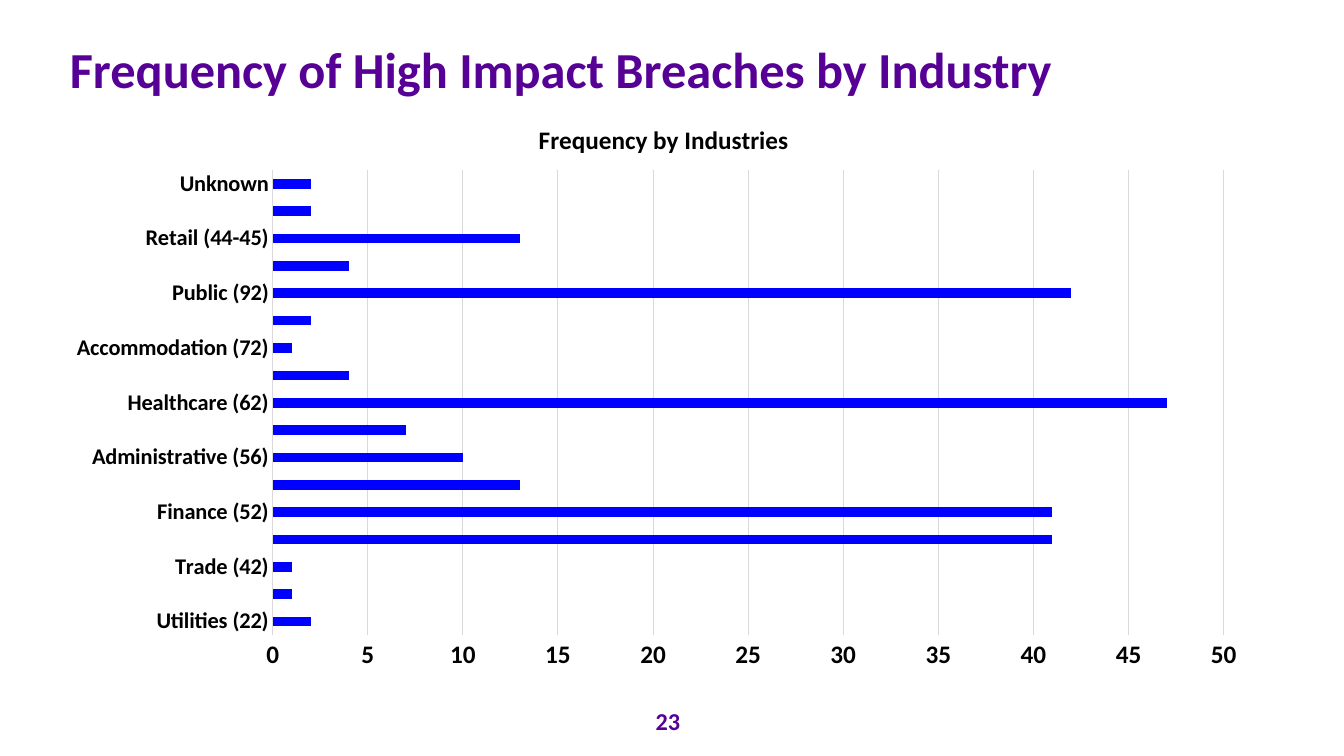
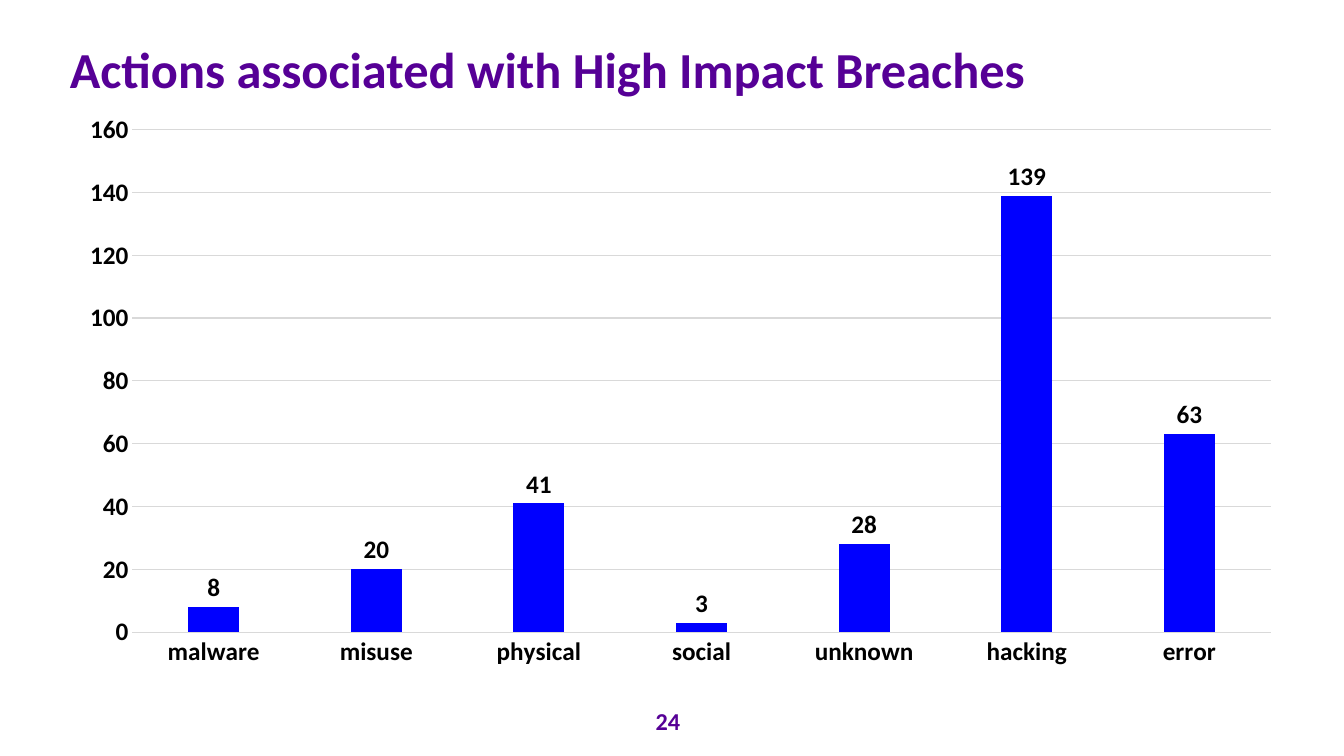
import pptx
import pptx.chart.data
import pptx.dml.color
import pptx.enum.chart
import pptx.enum.text
import pptx.oxml
import pptx.oxml.ns
import pptx.util

ChartType = pptx.enum.chart.XL_CHART_TYPE

INDUSTRIES = {
    "Utilities (22)": 2, "Construction (23)": 1, "Trade (42)": 1,
    "Information (51)": 41, "Finance (52)": 41, "Professional (54)": 13,
    "Administrative (56)": 10, "Education (61)": 7, "Healthcare (62)": 47,
    "Entertainment (71)": 4, "Accommodation (72)": 1,
    "Other Services (81)": 2, "Public (92)": 42,
    "Manufacturing (31-33)": 4, "Retail (44-45)": 13,
    "Transportation (48-49)": 2, "Unknown": 2,
}
ACTIONS = {"malware": 8, "misuse": 20, "physical": 41, "social": 3,
           "unknown": 28, "hacking": 139, "error": 63}


def color(hex_string):
    return pptx.dml.color.RGBColor.from_string(hex_string)


def set_layout(parent, index, **shares):
    """Fix a chart part's place, in shares of the chart frame."""
    for old in parent.findall(pptx.oxml.ns.qn("c:layout")):
        parent.remove(old)
    inner = '<c:layoutTarget val="inner"/>' if "w" in shares else ""
    modes = '<c:xMode val="edge"/><c:yMode val="edge"/>'
    sizes = "".join(f'<c:{key} val="{share}"/>' for key, share in shares.items())
    parent.insert(index, pptx.oxml.parse_xml(
        f'<c:layout {pptx.oxml.ns.nsdecls("c")}><c:manualLayout>'
        f"{inner}{modes}{sizes}</c:manualLayout></c:layout>"))


class Deck:
    """Shared style and the current slide; places are percent of the slide."""
    FONT = "Calibri"
    PURPLE, BLACK, BLUE, GRID = "560096", "000000", "0000FF", "D9D9D9"
    TITLE_AREA = (5.2, 1.3, 88.4, 16.4)
    NUMBER_AREA = (43.95, 92.7, 11.5, 5.3)

    def __init__(self):
        self.show = pptx.Presentation()
        self.show.slide_width = pptx.util.Inches(13.33)
        self.show.slide_height = pptx.util.Inches(7.5)
        self.slide = None

    def place(self, area):
        sides = (self.show.slide_width, self.show.slide_height) * 2
        return [round(side * share / 100) for side, share in zip(sides, area)]

    def style(self, font, size, hex_string=BLACK):
        font.name, font.bold = self.FONT, True
        font.size = pptx.util.Pt(size)
        font.color.rgb = color(hex_string)

    def text(self, wording, area, size):
        frame = self.slide.shapes.add_textbox(*self.place(area)).text_frame
        frame.word_wrap = True
        frame.vertical_anchor = pptx.enum.text.MSO_ANCHOR.MIDDLE
        frame.text = wording
        self.style(frame.paragraphs[0].runs[0].font, size, self.PURPLE)
        return frame

    def new_slide(self, title, number):
        self.slide = self.show.slides.add_slide(self.show.slide_layouts[6])
        heading = self.text(title, self.TITLE_AREA, 36)
        heading.margin_left = heading.margin_right = 0
        heading.margin_top = heading.margin_bottom = 0
        heading.paragraphs[0].line_spacing = 0.9
        footer = self.text(str(number), self.NUMBER_AREA, 17.3)
        footer.paragraphs[0].alignment = pptx.enum.text.PP_ALIGN.CENTER

    def rule(self, line):
        line.color.rgb = color(self.GRID)
        line.width = pptx.util.Pt(0.75)

    def bar_chart(self, kind, counts, area, plot_area, top, step, gap,
                  overlap=0, category_size=18):
        data = pptx.chart.data.CategoryChartData()
        data.categories = list(counts)
        data.add_series("Series 1", list(counts.values()))
        chart = self.slide.shapes.add_chart(kind, *self.place(area), data).chart
        chart.has_legend = chart.has_title = False
        chart.font.name, chart.font.size = self.FONT, pptx.util.Pt(10)

        # Axes
        values, categories = chart.value_axis, chart.category_axis
        for axis, size in ((values, 18), (categories, category_size)):
            axis.major_tick_mark = pptx.enum.chart.XL_TICK_MARK.NONE
            axis.minor_tick_mark = pptx.enum.chart.XL_TICK_MARK.NONE
            self.style(axis.tick_labels.font, size)
        self.rule(categories.format.line)
        self.rule(values.major_gridlines.format.line)
        values.format.line.fill.background()
        values.minimum_scale, values.maximum_scale = 0, top
        values.major_unit = step

        # Bars
        plot = chart.plots[0]
        plot.gap_width, plot.overlap = gap, overlap
        plot.vary_by_categories = False
        fill = plot.series[0].format.fill
        fill.solid()
        fill.fore_color.rgb = color(self.BLUE)
        set_layout(chart._chartSpace.chart.plotArea, 0,
                   **dict(zip("xywh", plot_area)))
        return chart

    def chart_title(self, chart, wording, x, y):
        chart.has_title = True
        frame = chart.chart_title.text_frame
        frame.text = wording
        self.style(frame.paragraphs[0].runs[0].font, 18)
        set_layout(chart._chartSpace.chart.title, 1, x=x, y=y)

    def value_labels(self, chart):
        labels = chart.plots[0].series[0].data_labels
        labels.show_value = True
        labels.position = pptx.enum.chart.XL_LABEL_POSITION.OUTSIDE_END
        self.style(labels.font, 18)


def main():
    deck = Deck()

    # Breaches by industry
    deck.new_slide("Frequency of High Impact Breaches by Industry", 23)
    industries = deck.bar_chart(
        ChartType.BAR_CLUSTERED, INDUSTRIES, (5.25, 12.4, 88.45, 77.87),
        (0.17, 0.13, 0.8, 0.79), top=50, step=5, gap=182, category_size=16)
    deck.chart_title(industries, "Frequency by Industries", 0.39, 0.04)

    # Breaches by action
    deck.new_slide("Actions associated with High Impact Breaches", 24)
    actions = deck.bar_chart(
        ChartType.COLUMN_CLUSTERED, ACTIONS, (5.3, 13.33, 91.07, 76.4),
        (0.05, 0.05, 0.93, 0.87), top=160, step=20, gap=219, overlap=-27)
    deck.value_labels(actions)

    deck.show.save("out.pptx")


if __name__ == "__main__":
    main()
